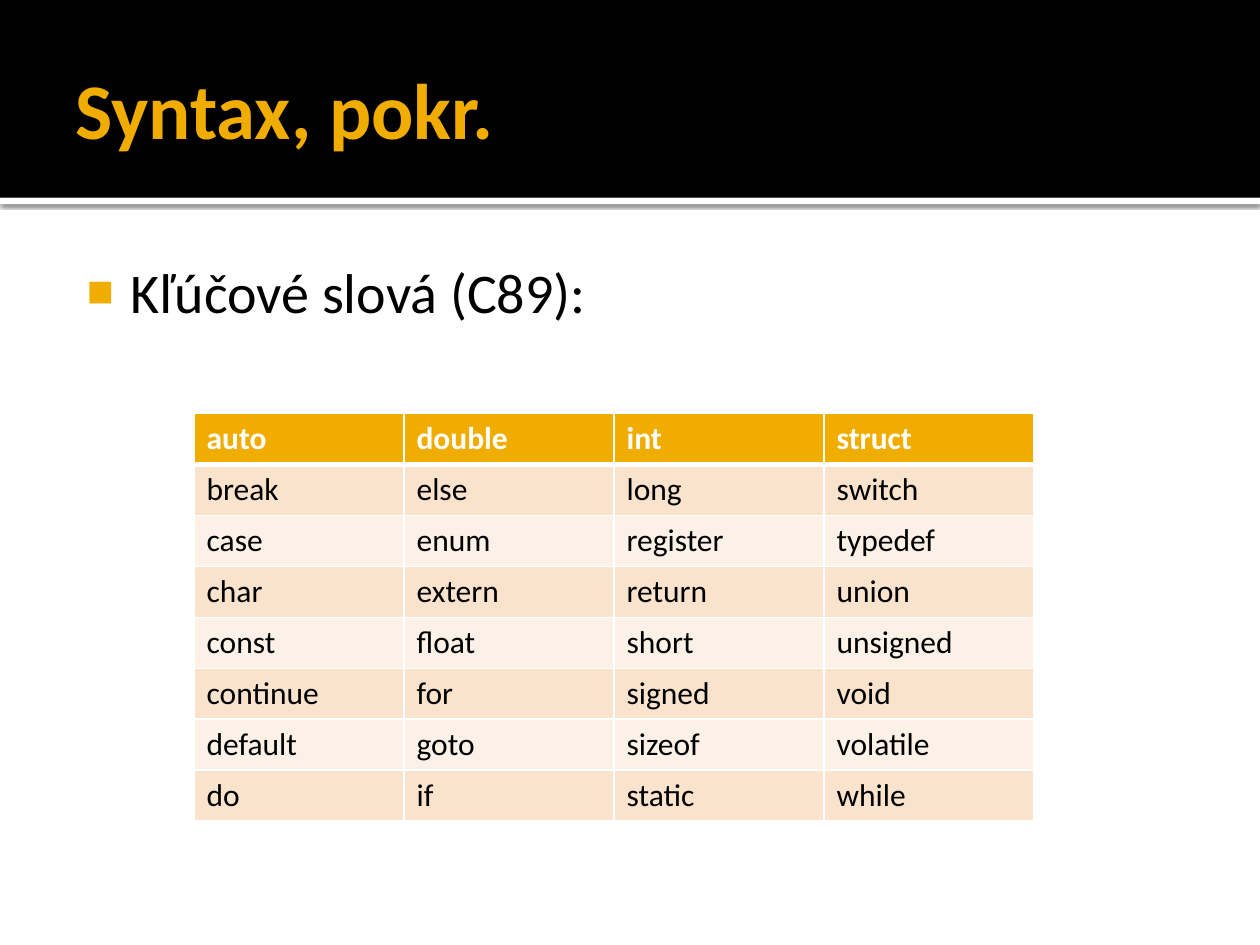
from dataclasses import dataclass

from lxml import etree
from pptx import Presentation
from pptx.dml.color import RGBColor
from pptx.enum.shapes import MSO_SHAPE
from pptx.enum.text import MSO_ANCHOR
from pptx.oxml import parse_xml
from pptx.oxml.ns import nsdecls, qn
from pptx.util import Inches, Pt

RECTANGLE = MSO_SHAPE.RECTANGLE
MIDDLE, TOP = MSO_ANCHOR.MIDDLE, MSO_ANCHOR.TOP

BLACK = RGBColor(0x00, 0x00, 0x00)
WHITE = RGBColor(0xFF, 0xFF, 0xFF)
AMBER = RGBColor(0xF0, 0xAD, 0x00)
BAND_DARK = RGBColor(0xF9, 0xE3, 0xCC)
BAND_LIGHT = RGBColor(0xFC, 0xF1, 0xE7)

FONT = "Calibri"
SLIDE_WIDTH, SLIDE_HEIGHT = 10, 7.5
MARGIN = 0.05 * SLIDE_WIDTH
HEADER_HEIGHT = 1.57
COLUMNS, ROWS = 4, 8
COLUMN_WIDTH, ROW_HEIGHT = SLIDE_WIDTH / 6, 0.405
THIN, THICK = 1, 3

# Alphabetical; the table is filled column by column.
KEYWORDS = """
auto break case char const continue default do
double else enum extern float for goto if
int long register return short signed sizeof static
struct switch typedef union unsigned void volatile while
""".split()


@dataclass(frozen=True)
class Box:
    left: float
    top: float
    width: float
    height: float

    def emu(self) -> tuple:
        return tuple(Inches(n) for n in (self.left, self.top, self.width, self.height))


def write_text(frame, text: str, *, size: float, color: RGBColor, bold: bool = False):
    paragraph = frame.paragraphs[0]
    run = paragraph.add_run()
    run.text = text
    run.font.name, run.font.size = FONT, Pt(size)
    run.font.bold, run.font.color.rgb = bold, color
    return paragraph


def add_text_box(slide, box: Box, insets: tuple, anchor: MSO_ANCHOR):
    frame = slide.shapes.add_textbox(*box.emu()).text_frame
    frame.word_wrap = True
    frame.vertical_anchor = anchor
    (frame.margin_left, frame.margin_top,
     frame.margin_right, frame.margin_bottom) = map(Inches, insets)
    return frame


def add_bar(slide, box: Box, color: RGBColor):
    bar = slide.shapes.add_shape(RECTANGLE, *box.emu())
    bar.shadow.inherit = False
    bar.fill.solid()
    bar.fill.fore_color.rgb = color
    bar.line.fill.background()
    return bar


def add_shadow(shape) -> None:
    """Cast a soft black shadow straight down."""
    effects = shape._element.spPr.find(qn("a:effectLst"))
    effects.append(parse_xml(
        f'<a:outerShdw {nsdecls("a")} blurRad="{Pt(2.5)}" dist="{Pt(0.8)}" '
        'dir="5400000" algn="t" rotWithShape="0">'
        f'<a:srgbClr val="{BLACK}"><a:alpha val="60000"/></a:srgbClr></a:outerShdw>'))


def add_bullet(paragraph, color: RGBColor) -> None:
    """Hang a square bullet at 80 % of the text size."""
    properties = paragraph._p.get_or_add_pPr()
    properties.set("marL", str(Inches(0.48)))
    properties.set("indent", str(Inches(-0.35)))
    bullet_color = etree.SubElement(properties, qn("a:buClr"))
    etree.SubElement(bullet_color, qn("a:srgbClr"), val=str(color))
    etree.SubElement(properties, qn("a:buSzPct"), val="80000")
    etree.SubElement(properties, qn("a:buFont"), typeface="Arial")
    etree.SubElement(properties, qn("a:buChar"), char="■")


def set_borders(cell, top: float, bottom: float) -> None:
    """Draw white borders; they must precede the fill in the cell's XML."""
    widths = {"lnL": THIN, "lnR": THIN, "lnT": top, "lnB": bottom}
    properties = cell._tc.get_or_add_tcPr()
    for position, (side, width) in enumerate(widths.items()):
        properties.insert(position, parse_xml(
            f'<a:{side} {nsdecls("a")} w="{Pt(width)}"><a:solidFill>'
            f'<a:srgbClr val="{WHITE}"/></a:solidFill></a:{side}>'))


def add_keyword_table(slide, left: float, top: float) -> None:
    box = Box(left, top, COLUMNS * COLUMN_WIDTH, ROWS * ROW_HEIGHT)
    table = slide.shapes.add_table(ROWS, COLUMNS, *box.emu()).table
    for index, keyword in enumerate(KEYWORDS):
        column, row = divmod(index, ROWS)
        is_header = row == 0
        cell = table.cell(row, column)
        cell.fill.solid()
        band = BAND_DARK if row % 2 else BAND_LIGHT
        cell.fill.fore_color.rgb = AMBER if is_header else band
        set_borders(cell, top=THICK if row == 1 else THIN,
                    bottom=THICK if is_header else THIN)
        write_text(cell.text_frame, keyword, size=18, bold=is_header,
                   color=WHITE if is_header else BLACK)


def main() -> None:
    presentation = Presentation()
    presentation.slide_width = Inches(SLIDE_WIDTH)
    presentation.slide_height = Inches(SLIDE_HEIGHT)
    slide = presentation.slides.add_slide(presentation.slide_layouts[6])
    content_width = SLIDE_WIDTH - 2 * MARGIN

    add_shadow(add_bar(slide, Box(0, HEADER_HEIGHT, SLIDE_WIDTH, 0.05), WHITE))
    add_bar(slide, Box(0, 0, SLIDE_WIDTH, HEADER_HEIGHT), BLACK)

    title = add_text_box(slide, Box(MARGIN, 0.17, content_width, 1.37),
                         (0.1, 0.05, 0.05, 0.05), MIDDLE)
    write_text(title, "Syntax, pokr.", size=45, color=AMBER, bold=True)

    body = add_text_box(slide, Box(MARGIN, 1.94, content_width, 5.06),
                        (0.06, 0.1, 0.1, 0.05), TOP)
    add_bullet(write_text(body, "Kľúčové slová (C89):", size=32, color=BLACK), AMBER)

    add_keyword_table(slide, left=1.54, top=3.28)
    presentation.save("out.pptx")


if __name__ == "__main__":
    main()
